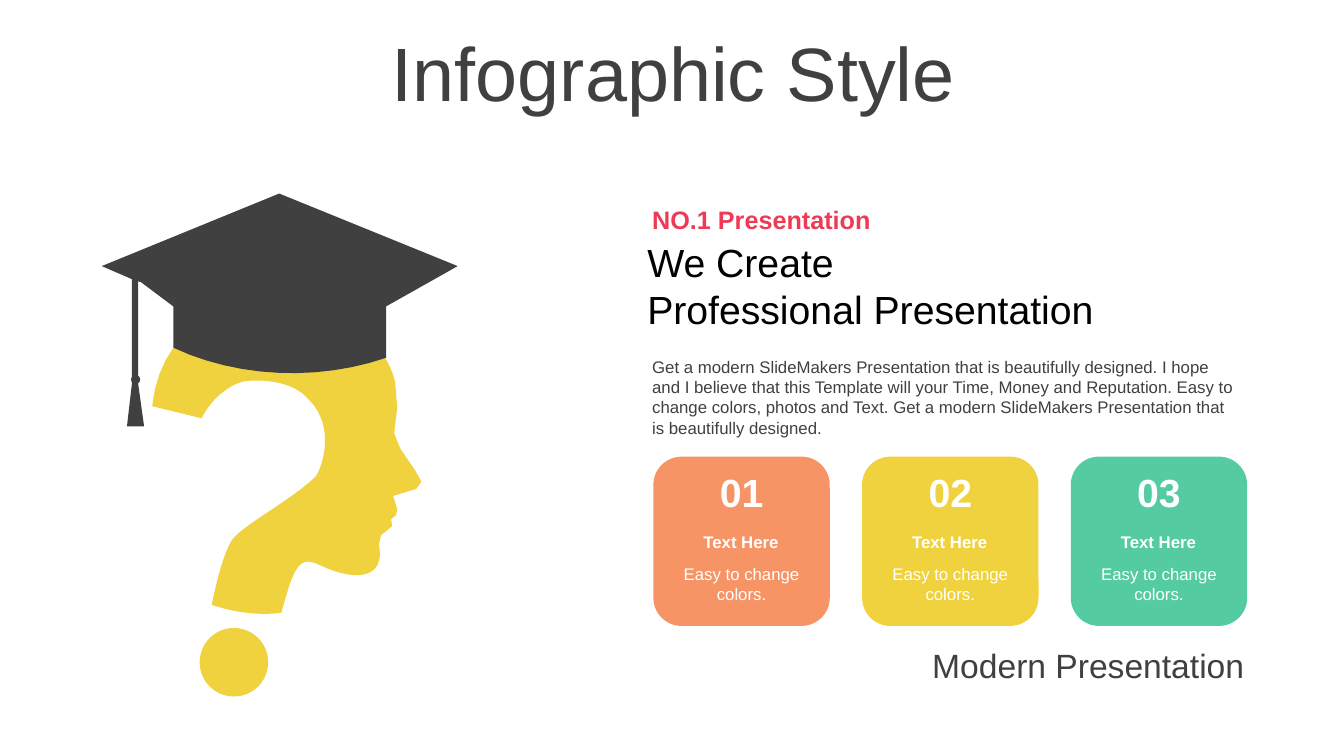
from pptx import Presentation
from pptx.dml.color import RGBColor
from pptx.enum.shapes import MSO_SHAPE as Shape
from pptx.enum.text import MSO_ANCHOR as Anchor, PP_ALIGN as Align
from pptx.util import Inches, Pt

# Content
DARK, YELLOW, WHITE = "404040", "F0D23F", "FFFFFF"
TITLE = "Infographic Style"
KICKER = "NO.1 Presentation"
HEADLINE = ["We Create", "Professional Presentation"]
BODY = ("Get a modern SlideMakers Presentation that is beautifully designed. "
        "I hope and I believe that this Template will your Time, Money and "
        "Reputation. Easy to change colors, photos and Text. Get a modern "
        "SlideMakers Presentation that is beautifully designed.")
FOOTER = "Modern Presentation"
CARDS = [
    ("01", "Text Here", "Easy to change colors.", "F79465"),
    ("02", "Text Here", "Easy to change colors.", YELLOW),
    ("03", "Text Here", "Easy to change colors.", "54CBA0"),
]
CARD_PITCH = 2.07

# Outlines in inches: pairs are corners, sixes are cubic curves
HEAD = [
    (2.85, 2.98), (3.4, 3.02, 3.83, 3.4, 3.92, 3.79),
    # Brow, nose, lips
    (3.94, 4.05), (3.91, 4.3), (3.97, 4.45), (4.12, 4.67), (4.18, 4.78),
    (4.13, 4.85), (3.9, 4.92), (3.94, 5.05), (3.93, 5.11), (3.88, 5.15),
    (3.89, 5.22), (3.78, 5.31), (3.76, 5.4), (3.77, 5.5),
    # Chin, neck
    (3.76, 5.77, 3.45, 5.74, 3.18, 5.61), (2.96, 5.5, 2.92, 5.62, 2.79, 6.08),
    (2.55, 6.11, 2.3, 6.07, 2.1, 6), (2.15, 5.77, 2.21, 5.51, 2.3, 5.36),
    # Inner hook, back of the head
    (2.39, 5.22, 2.88, 4.97, 3.13, 4.73), (3.19, 4.65, 3.35, 4.22, 3.04, 3.94),
    (2.91, 3.8, 2.65, 3.76, 2.45, 3.78), (2.33, 3.79, 2.12, 3.91, 2, 4.15),
    (1.51, 4.03), (1.58, 3.35, 2.1, 2.94, 2.85, 2.98),
]
CAP = [
    (2.77, 1.92), (1.01, 2.64), (1.31, 2.77), (1.31, 3.8), (1.26, 4.23),
    (1.43, 4.23), (1.37, 3.8), (1.37, 2.79), (1.4, 2.8), (1.72, 3.04),
    (1.72, 3.45), (2.36, 3.75, 3.16, 3.78, 3.83, 3.55), (3.83, 3.04),
    (4.54, 2.64),
]
CURVE_STEPS = 12

prs = Presentation()
prs.slide_width, prs.slide_height = Inches(13.33), Inches(7.5)
slide = prs.slides.add_slide(prs.slide_layouts[6])


def rgb(color):
    return RGBColor.from_string(color)


def paint(shape, color):
    shape.fill.solid()
    shape.fill.fore_color.rgb = rgb(color)
    shape.line.fill.background()
    shape.shadow.inherit = False


def add_solid(kind, box, color):
    paint(slide.shapes.add_shape(kind, *map(Inches, box)), color)


def cubic(t, a, b, c, d):
    u = 1 - t
    return a * u**3 + 3 * b * u * u * t + 3 * c * u * t * t + d * t**3


def flatten(outline):
    points = []
    for step in outline:
        if len(step) == 2:
            points.append(step)
            continue
        start = points[-1]
        for i in range(1, CURVE_STEPS + 1):
            t = i / CURVE_STEPS
            points.append((cubic(t, start[0], *step[::2]),
                           cubic(t, start[1], *step[1::2])))
    return [(Inches(x), Inches(y)) for x, y in points]


def add_outline(outline, color):
    start, *rest = flatten(outline)
    builder = slide.shapes.build_freeform(*start)
    builder.add_line_segments(rest, close=True)
    paint(builder.convert_to_shape(), color)


def add_text(lines, box, size, color, bold=False, align=Align.LEFT,
             anchor=Anchor.TOP, insets=(0.1, 0.05, 0.1, 0.05), spacing=None):
    frame = slide.shapes.add_textbox(*map(Inches, box)).text_frame
    frame.word_wrap = True
    frame.vertical_anchor = anchor
    (frame.margin_left, frame.margin_top,
     frame.margin_right, frame.margin_bottom) = map(Inches, insets)
    for i, line in enumerate(lines):
        paragraph = frame.add_paragraph() if i else frame.paragraphs[0]
        paragraph.text = line
        paragraph.alignment = align
        paragraph.line_spacing = spacing
        font = paragraph.font
        font.name, font.size, font.bold = "Arial", Pt(size), bold
        font.color.rgb = rgb(color)


# Title
add_text([TITLE], (0.35, 0.37, 12.66, 0.79), 54, DARK,
         align=Align.CENTER, anchor=Anchor.MIDDLE, spacing=0.9)

# Question-mark head with graduation cap and tassel knot
add_outline(HEAD, YELLOW)
add_solid(Shape.OVAL, (1.98, 6.23, 0.68, 0.68), YELLOW)
add_outline(CAP, DARK)
add_solid(Shape.OVAL, (1.3, 3.72, 0.09, 0.09), DARK)

# Introduction
add_text([BODY], (6.37, 3.49, 6, 0.91), 12, DARK)
add_text(HEADLINE, (6.37, 2.36, 6.17, 0.94), 28, "000000",
         insets=(0.05, 0, 0.03, 0))
add_text([KICKER], (6.37, 1.98, 6.17, 0.4), 18, "ED3B55", bold=True)

# Cards
for i, (number, heading, detail, color) in enumerate(CARDS):
    shift = i * CARD_PITCH
    add_solid(Shape.ROUNDED_RECTANGLE, (6.48 + shift, 4.53, 1.75, 1.68), color)
    add_text([number], (6.86 + shift, 4.61, 0.99, 0.53), 28, WHITE, bold=True,
             align=Align.CENTER, anchor=Anchor.MIDDLE)
    add_text([heading], (6.58 + shift, 5.23, 1.54, 0.3), 12, WHITE, bold=True,
             align=Align.CENTER)
    add_text([detail], (6.58 + shift, 5.54, 1.55, 0.5), 12, WHITE,
             align=Align.CENTER)

# Footer
add_text([FOOTER], (8.97, 6.4, 3.41, 0.4), 24, DARK, align=Align.RIGHT,
         anchor=Anchor.MIDDLE, insets=(0.04, 0, 0.04, 0))

prs.save("out.pptx")
